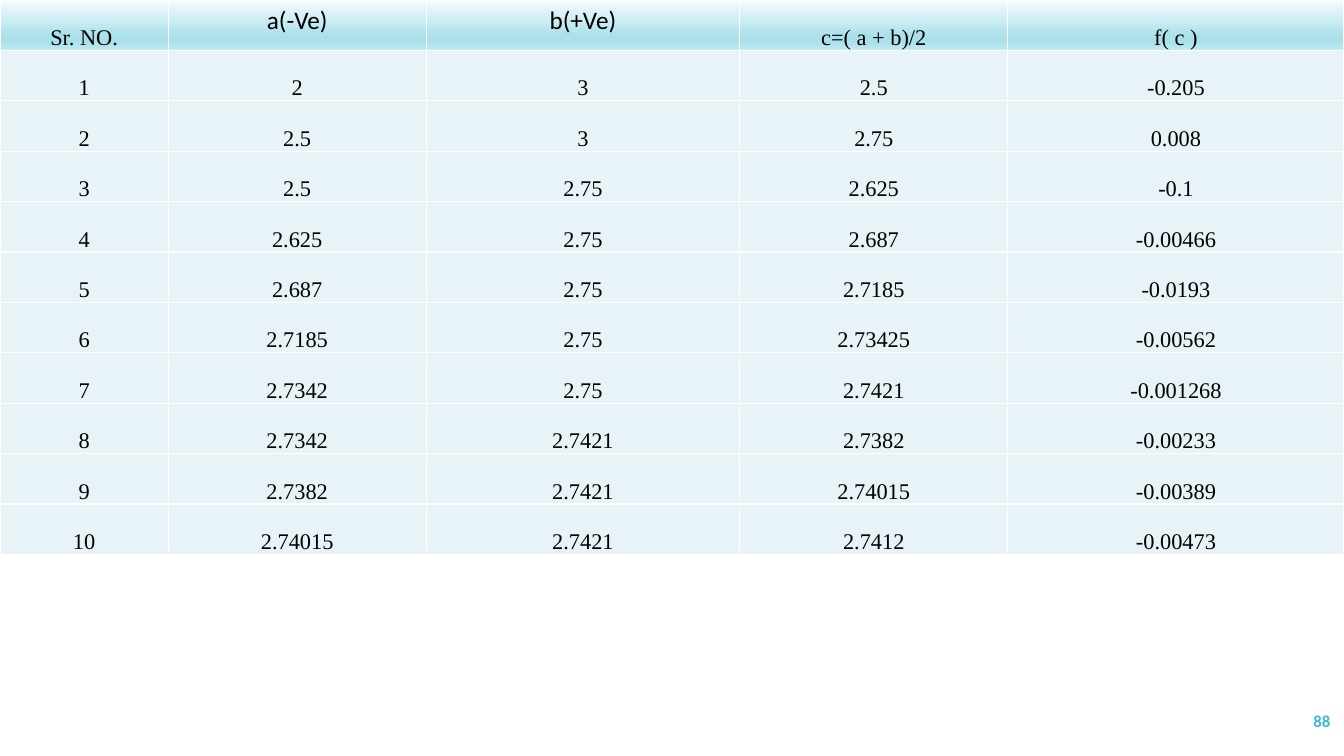
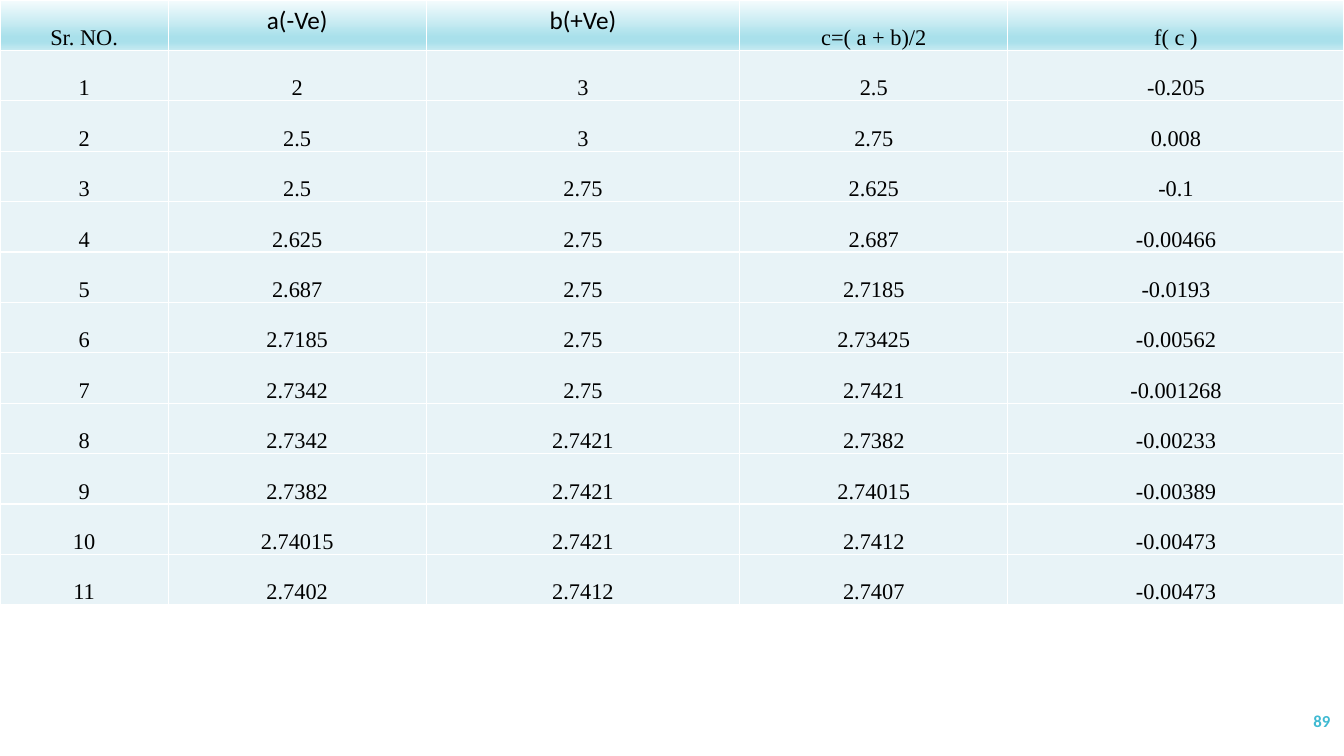
import pptx
import pptx.util
import pptx.oxml
import pptx.oxml.ns
import pptx.dml.color
import pptx.enum.text

Cm = pptx.util.Cm
Pt = pptx.util.Pt
RGB = pptx.dml.color.RGBColor
ALIGN = pptx.enum.text.PP_ALIGN
ANCHOR = pptx.enum.text.MSO_ANCHOR

BLACK = RGB(0x00, 0x00, 0x00)
WHITE = RGB(0xFF, 0xFF, 0xFF)
PALE = RGB(0xE8, 0xF3, 0xF7)
TEAL = RGB(0x40, 0xBA, 0xD2)
SHADES = [
    (0, RGB(0xF5, 0xFC, 0xFD)),
    (74, RGB(0xA9, 0xE0, 0xEB)),
    (83, RGB(0xA9, 0xE0, 0xEB)),
    (100, RGB(0xC6, 0xEA, 0xF1)),
]
SERIF = "Times New Roman"
SANS = "Calibri"

WIDE, HIGH = 33.87, 19.05
COLS = [4.24, 6.5, 7.9, 6.76, 8.47]
ROW = 1.27
FIRST = 88

HEAD = ["Sr. NO.", "a(-Ve)", "b(+Ve)", "c=( a + b)/2", "f( c )"]
SIGNED = HEAD[1:3]
STEPS = [
    ["2", "3", "2.5", "-0.205"],
    ["2.5", "3", "2.75", "0.008"],
    ["2.5", "2.75", "2.625", "-0.1"],
    ["2.625", "2.75", "2.687", "-0.00466"],
    ["2.687", "2.75", "2.7185", "-0.0193"],
    ["2.7185", "2.75", "2.73425", "-0.00562"],
    ["2.7342", "2.75", "2.7421", "-0.001268"],
    ["2.7342", "2.7421", "2.7382", "-0.00233"],
    ["2.7382", "2.7421", "2.74015", "-0.00389"],
    ["2.74015", "2.7421", "2.7412", "-0.00473"],
    ["2.7402", "2.7412", "2.7407", "-0.00473"],
]


def style(para, face, size, color, align, bold=False):
    para.alignment = align
    font = para.font
    font.name, font.size, font.bold = face, Pt(size), bold
    font.color.rgb = color


def add_xml(cell, body):
    """Append one drawing element to the cell properties."""
    root = pptx.oxml.parse_xml(f"<a:x {pptx.oxml.ns.nsdecls('a')}>{body}</a:x>")
    cell._tc.get_or_add_tcPr().append(root[0])


def edge(cell):
    """Draw thin white borders; must come before the fill."""
    for side in "LRTB":
        add_xml(cell, f'<a:ln{side} w="{Pt(1)}"><a:solidFill>'
                      f'<a:srgbClr val="{WHITE}"/></a:solidFill></a:ln{side}>')


def shade(cell):
    """Fill the cell with the downward header gradient."""
    stops = "".join(f'<a:gs pos="{pos * 1000}"><a:srgbClr val="{color}"/></a:gs>'
                    for pos, color in SHADES)
    add_xml(cell, f'<a:gradFill rotWithShape="1"><a:gsLst>{stops}</a:gsLst>'
                  '<a:lin ang="5400000" scaled="0"/></a:gradFill>')


def fill_cell(cell, text, head):
    cell.text = text
    para = cell.text_frame.paragraphs[0]
    if text in SIGNED:
        style(para, SANS, 18, BLACK, ALIGN.CENTER)
    else:
        style(para, SERIF, 16, BLACK, ALIGN.CENTER)
        cell.vertical_anchor = ANCHOR.BOTTOM
        cell.margin_left = cell.margin_right = cell.margin_top = Cm(0.03)
        cell.margin_bottom = 0
    edge(cell)
    if head:
        shade(cell)
    else:
        cell.fill.solid()
        cell.fill.fore_color.rgb = PALE


def add_grid(slide, steps):
    rows = [HEAD] + [[str(num)] + step for num, step in enumerate(steps, 1)]
    frame = slide.shapes.add_table(len(rows), len(COLS), 0, 0,
                                   Cm(WIDE), Cm(ROW * len(rows)))
    table = frame.table
    table.horz_banding = False
    for col, width in zip(table.columns, COLS):
        col.width = Cm(width)
    for y, row in enumerate(rows):
        table.rows[y].height = Cm(ROW)
        for x, text in enumerate(row):
            fill_cell(table.cell(y, x), text, y == 0)


def add_number(slide, num):
    box = slide.shapes.add_textbox(Cm(29.54), Cm(17.65), Cm(4.24), Cm(1.02))
    frame = box.text_frame
    frame.word_wrap = True
    frame.vertical_anchor = ANCHOR.MIDDLE
    frame.text = str(num)
    style(frame.paragraphs[0], SANS, 12, TEAL, ALIGN.RIGHT, True)


def main():
    deck = pptx.Presentation()
    deck.slide_width, deck.slide_height = Cm(WIDE), Cm(HIGH)
    blank = deck.slide_layouts[6]
    for num, count in enumerate([10, 11], FIRST):
        slide = deck.slides.add_slide(blank)
        add_grid(slide, STEPS[:count])
        add_number(slide, num)
    deck.save("out.pptx")


if __name__ == "__main__":
    main()
